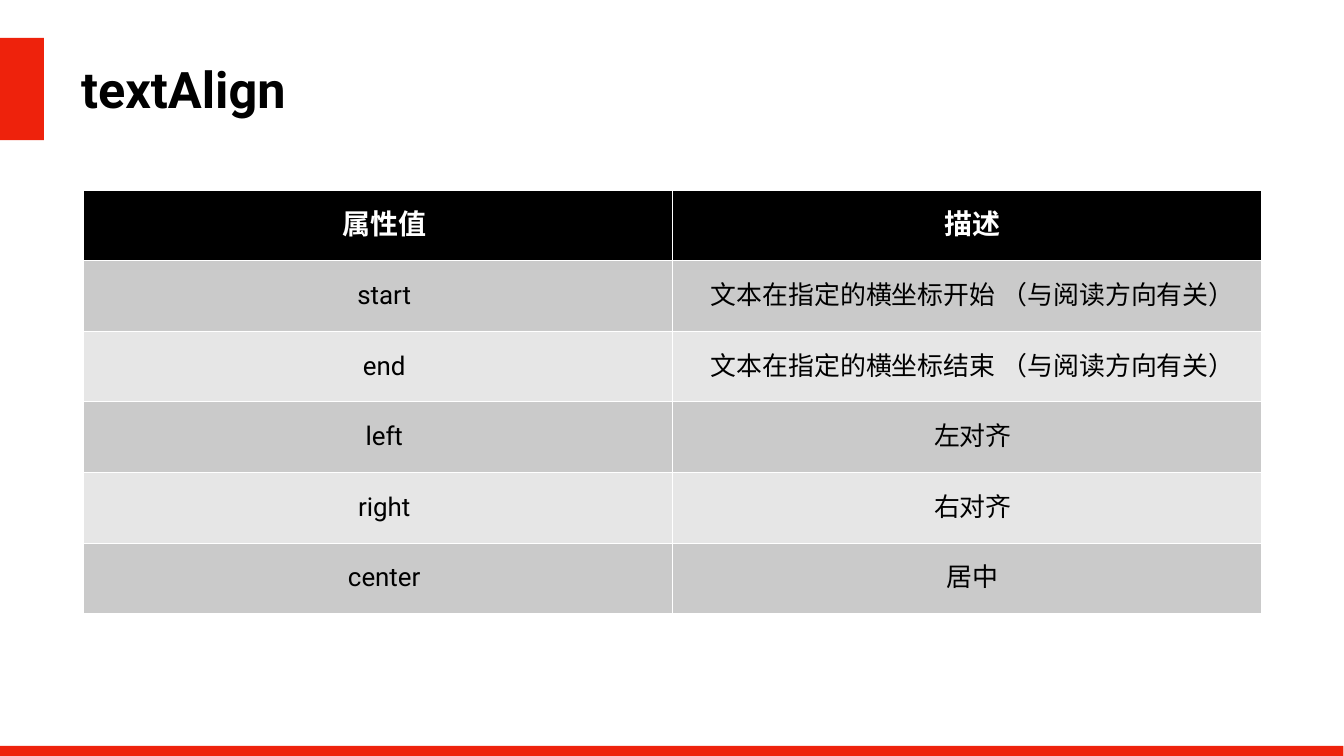
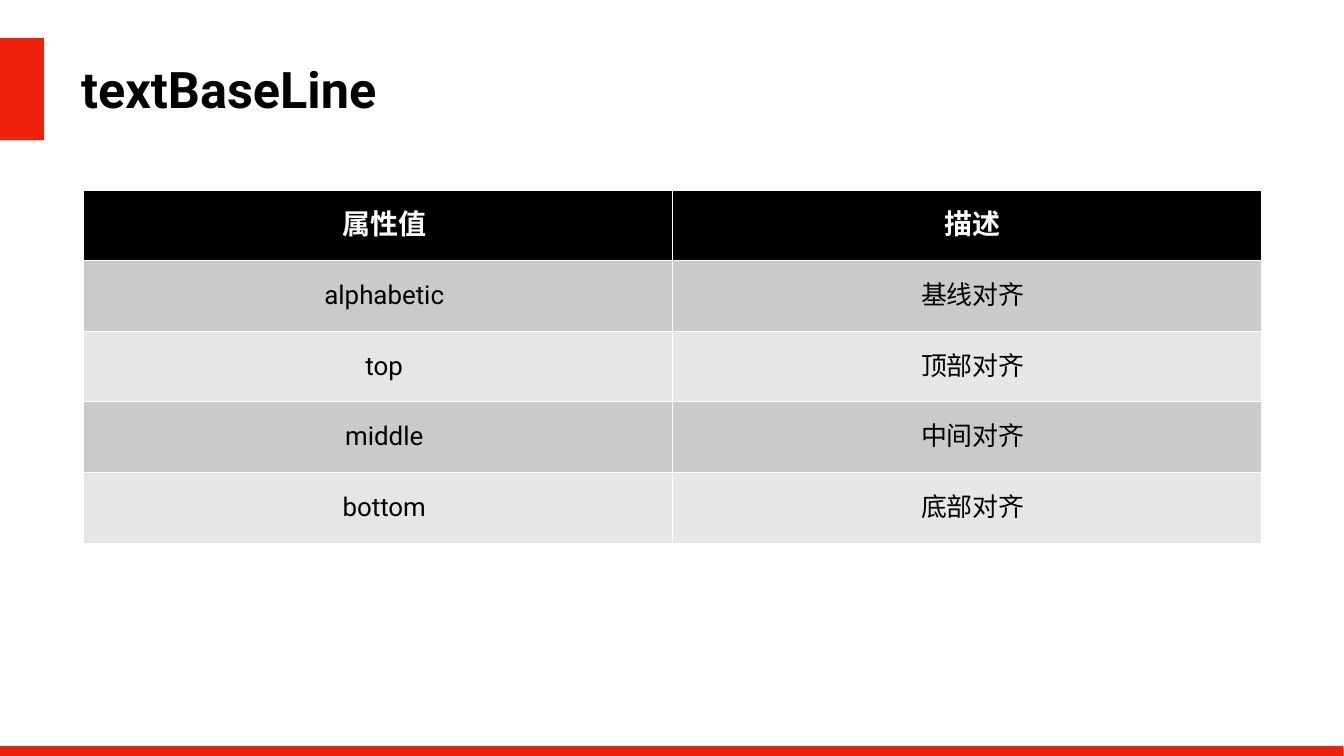
from lxml import etree
from pptx import Presentation
from pptx import util as u
from pptx.dml.color import RGBColor
from pptx.enum import shapes, text
from pptx.oxml.ns import qn

COLOURS = {
    "accent": "EE220C",
    "ink": "000000",
    "paper": "FFFFFF",
    "odd_row": "CACACA",
    "even_row": "E6E6E6",
}
FONT = "Roboto"
HEADINGS = ("属性值", "描述")
COLUMN_WIDTH, ROW_HEIGHT = 11.68, 1.4
BANDS = [(-0.05, 0.75, 0.92, 2.03), (0, 14.8, 26.66, 0.5)]
PAGES = [
    ("textAlign", [
        ("start", "文本在指定的横坐标开始 （与阅读方向有关）"),
        ("end", "文本在指定的横坐标结束 （与阅读方向有关）"),
        ("left", "左对齐"),
        ("right", "右对齐"),
        ("center", "居中"),
    ]),
    ("textBaseLine", [
        ("alphabetic", "基线对齐"),
        ("top", "顶部对齐"),
        ("middle", "中间对齐"),
        ("bottom", "底部对齐"),
    ]),
]


def style(paragraph, size, colour, bold):
    font = paragraph.font
    font.name, font.size, font.bold = FONT, u.Pt(size), bold
    font.color.rgb = RGBColor.from_string(COLOURS[colour])
    defaults = paragraph._p.pPr.find(qn("a:defRPr"))
    etree.SubElement(defaults, qn("a:ea"), typeface=FONT)


def add_border(cell, side, points):
    line = etree.SubElement(cell._tc.get_or_add_tcPr(), qn(f"a:ln{side}"), w=str(u.Pt(points)))
    fill = etree.SubElement(line, qn("a:solidFill"))
    etree.SubElement(fill, qn("a:srgbClr"), val=COLOURS["paper"])


deck = Presentation()
deck.slide_width, deck.slide_height = u.Inches(26.67), u.Inches(15)

for heading, properties in PAGES:
    slide = deck.slides.add_slide(deck.slide_layouts[6])

    title = slide.shapes.add_textbox(*map(u.Inches, (1.55, 1.11, 22.06, 1.3))).text_frame
    title.word_wrap = True
    title.vertical_anchor = text.MSO_ANCHOR.MIDDLE
    title.margin_left = title.margin_right = u.Inches(0.06)
    title.margin_top = title.margin_bottom = u.Inches(0.06)
    title.text = heading
    style(title.paragraphs[0], 72, "ink", True)

    for place in BANDS:
        band = slide.shapes.add_shape(shapes.MSO_SHAPE.RECTANGLE, *map(u.Inches, place))
        band.shadow.inherit = False
        band.fill.solid()
        band.fill.fore_color.rgb = RGBColor.from_string(COLOURS["accent"])
        band.line.fill.background()

    rows = [HEADINGS, *properties]
    table = slide.shapes.add_table(
        len(rows), 2, u.Inches(1.66), u.Inches(3.77),
        u.Inches(2 * COLUMN_WIDTH), u.Inches(ROW_HEIGHT * len(rows)),
    ).table
    for column in table.columns:
        column.width = u.Inches(COLUMN_WIDTH)

    for r, row in enumerate(rows):
        table.rows[r].height = u.Inches(ROW_HEIGHT)
        is_header = r == 0
        background = "ink" if is_header else "odd_row" if r % 2 else "even_row"
        for c, words in enumerate(row):
            cell = table.cell(r, c)
            for side in "LRTB":
                add_border(cell, side, 3 if is_header and side == "B" else 1)
            cell.fill.solid()
            cell.fill.fore_color.rgb = RGBColor.from_string(COLOURS[background])
            cell.margin_left = cell.margin_right = 0
            cell.margin_top = cell.margin_bottom = 0
            cell.vertical_anchor = text.MSO_ANCHOR.MIDDLE
            cell.text = words
            paragraph = cell.text_frame.paragraphs[0]
            paragraph.alignment = text.PP_ALIGN.CENTER
            paragraph._p.pPr.set("indent", str(u.Inches(0.25)))
            style(paragraph, 40 if is_header else 37, "paper" if is_header else "ink", is_header)

deck.save("out.pptx")
